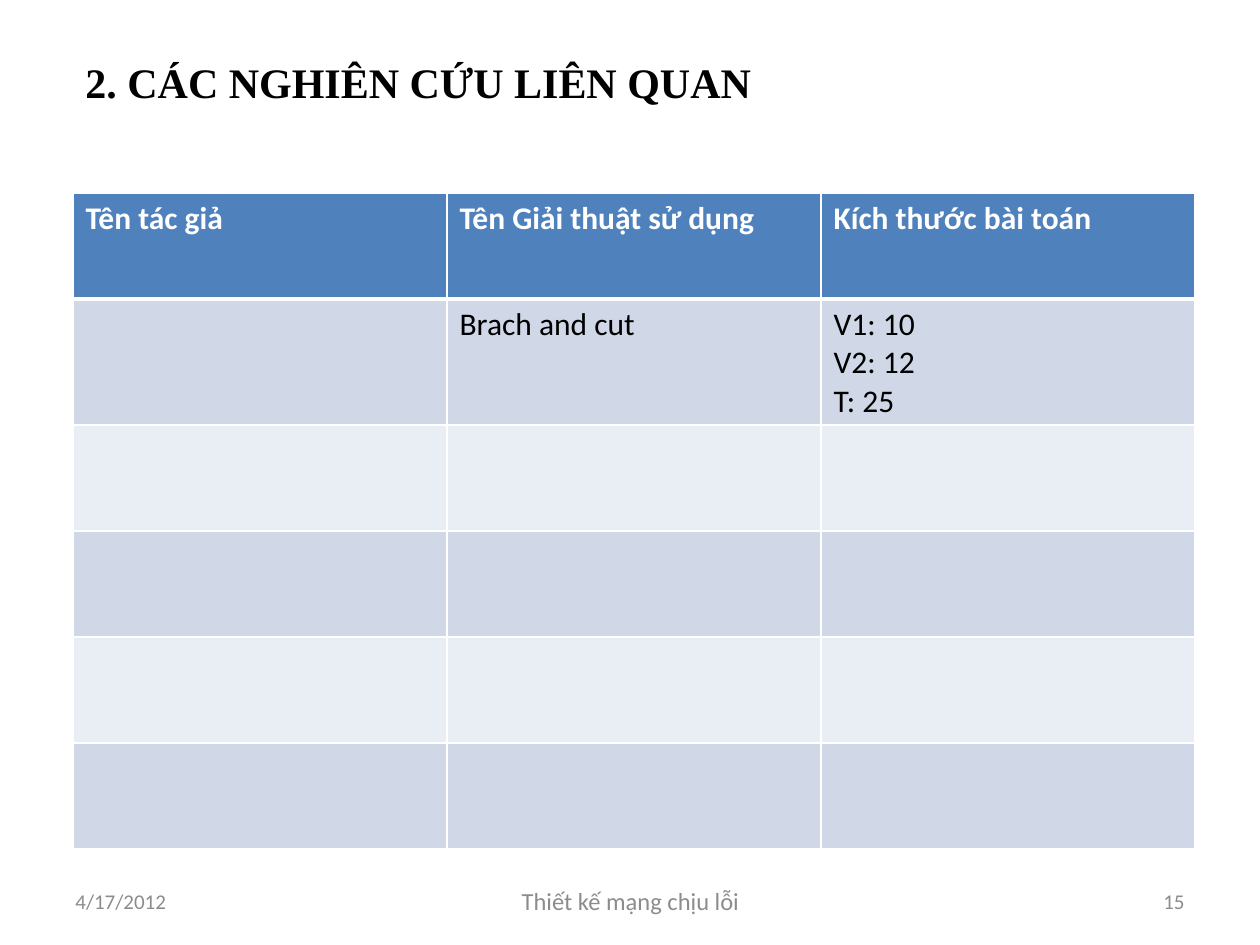
from lxml.etree import SubElement
from pptx import Presentation
from pptx.dml.color import RGBColor
from pptx.enum.text import MSO_ANCHOR, PP_ALIGN
from pptx.oxml.ns import qn
from pptx.util import Emu, Pt

WHITE = RGBColor(0xFF, 0xFF, 0xFF)
BLACK = RGBColor(0x00, 0x00, 0x00)
GRAY = RGBColor(0x8C, 0x8C, 0x8C)
HEADER = RGBColor(0x4F, 0x81, 0xBD)
BAND_DARK = RGBColor(0xD0, 0xD8, 0xE8)
BAND_LIGHT = RGBColor(0xE9, 0xED, 0xF4)

ROWS = [
    ["Tên tác giả", "Tên Giải thuật sử dụng", "Kích thước bài toán"],
    ["", "Brach and cut", "V1: 10\nV2: 12\nT: 25"],
] + [[""] * 3 for _ in range(4)]
COL_W, ROW_H = 374, 106


def px(n):
    """Turn pixels at 126 to the inch into EMU."""
    return Emu(round(n * 914400 / 126))


def style_text(tf, size, color, bold=False, font="Calibri", align=PP_ALIGN.LEFT):
    """Format every paragraph and run of a text frame."""
    for p in tf.paragraphs:
        p.alignment = align
        p.font.size = Pt(size)
        for r in p.runs:
            r.font.name = font
            r.font.size = Pt(size)
            r.font.bold = bold
            r.font.color.rgb = color


def add_text(s, text, x, y, w, h, size, color, **style):
    """Add a vertically centred text box."""
    tf = s.shapes.add_textbox(px(x), px(y), px(w), px(h)).text_frame
    tf.word_wrap = True
    tf.vertical_anchor = MSO_ANCHOR.MIDDLE
    tf.text = text
    style_text(tf, size, color, **style)


def set_borders(cell, top, bottom):
    """Draw white cell borders, with 1 pt at the sides."""
    tc_pr = cell._tc.get_or_add_tcPr()
    for side, width in (("L", 1), ("R", 1), ("T", top), ("B", bottom)):
        ln = SubElement(tc_pr, qn(f"a:ln{side}"), w=str(Pt(width)))
        fill = SubElement(ln, qn("a:solidFill"))
        SubElement(fill, qn("a:srgbClr"), val=str(WHITE))


def add_studies_table(s, x, y):
    """Add the banded table of related studies."""
    n_rows, n_cols = len(ROWS), len(ROWS[0])
    frame = s.shapes.add_table(
        n_rows, n_cols, px(x), px(y), px(COL_W * n_cols), px(ROW_H * n_rows)
    )
    table = frame.table
    for col in table.columns:
        col.width = px(COL_W)
    for i, values in enumerate(ROWS):
        table.rows[i].height = px(ROW_H)
        is_header = i == 0
        band = HEADER if is_header else BAND_DARK if i % 2 else BAND_LIGHT
        for j, value in enumerate(values):
            cell = table.cell(i, j)
            set_borders(cell, 3 if i == 1 else 1, 3 if is_header else 1)
            cell.fill.solid()
            cell.fill.fore_color.rgb = band
            cell.text_frame.text = value
            style_text(cell.text_frame, 18, WHITE if is_header else BLACK, is_header)


def main():
    """Build the slide and save it."""
    prs = Presentation()
    prs.slide_width, prs.slide_height = px(1260), px(945)
    s = prs.slides.add_slide(prs.slide_layouts[6])
    add_text(s, "2. CÁC NGHIÊN CỨU LIÊN QUAN", 73, 38, 1124, 88, 24, BLACK,
             bold=True, font="Times New Roman")
    add_text(s, "4/17/2012", 63, 876, 294, 50, 12, GRAY)
    add_text(s, "Thiết kế mạng chịu lỗi", 431, 876, 399, 50, 14, GRAY,
             align=PP_ALIGN.CENTER)
    add_text(s, "15", 903, 876, 294, 50, 12, GRAY, align=PP_ALIGN.RIGHT)
    add_studies_table(s, 73, 193)
    prs.save("out.pptx")


if __name__ == "__main__":
    main()
